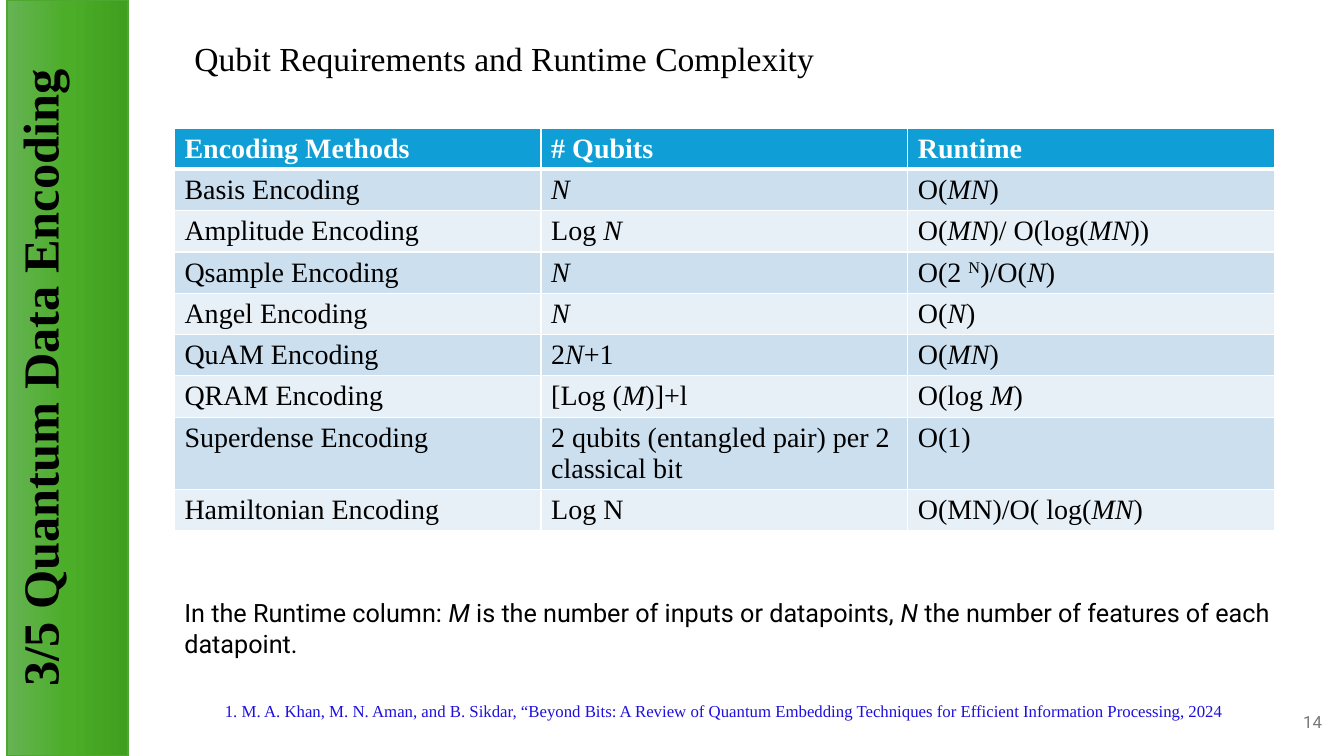
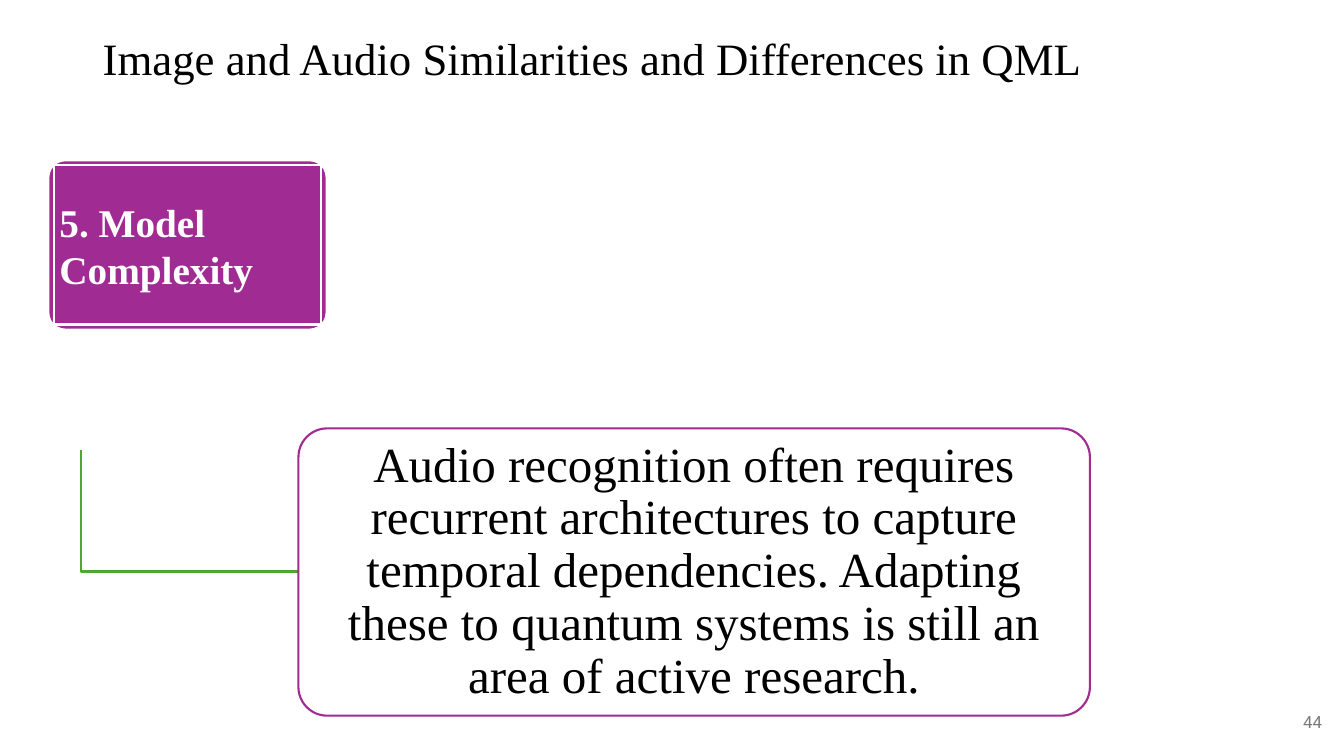
from copy import deepcopy

from pptx import Presentation
from pptx.dml.color import RGBColor
from pptx.enum.shapes import MSO_SHAPE as Shape
from pptx.enum.text import MSO_ANCHOR as Anchor, PP_ALIGN as Align
from pptx.oxml.ns import qn
from pptx.util import Inches, Pt
from lxml.etree import SubElement

COLORS = {
    "ink": "000000",
    "white": "FFFFFF",
    "number": "797979",
    "citation": "1E0FDD",
    "green": "4EA72E",
    "purple": "A02B93",
    "header": "0F9ED5",
    "odd_row": "CCDFEF",
    "even_row": "E7F0F7",
}
BAND_GRADIENT = ["66B354", "4BAD28", "409F1E"]
SERIF, SANS = "Times New Roman", "Roboto"

# Text between asterisks is italic; a leading ^ makes it superscript instead.
ENCODINGS = [
    ("Encoding Methods", "# Qubits", "Runtime"),
    ("Basis Encoding", "*N*", "O(*MN*)"),
    ("Amplitude Encoding", "Log *N*", "O(*MN*)/ O(log(*MN*))"),
    ("Qsample Encoding", "*N*", "O(2 *^N*)/O(*N*)"),
    ("Angel Encoding", "*N*", "O(*N*)"),
    ("QuAM Encoding", "2*N*+1", "O(*MN*)"),
    ("QRAM Encoding", "[Log (*M*)]+l", "O(log *M*)"),
    ("Superdense Encoding", "2 qubits (entangled pair) per 2 classical bit", "O(1)"),
    ("Hamiltonian Encoding", "Log N", "O(MN)/O( log(*MN*)"),
]


def rgb(name):
    return RGBColor.from_string(COLORS[name])


def write(frame, text, size, color="ink", font=SERIF, bold=False,
          align=Align.LEFT, anchor=Anchor.MIDDLE, spacing=None):
    """Fill a text frame with one paragraph, reading the italic marks."""
    frame.word_wrap = True
    frame.vertical_anchor = anchor
    paragraph = frame.paragraphs[0]
    paragraph.alignment = align
    paragraph.line_spacing = spacing
    for index, part in enumerate(text.split("*")):
        if not part:
            continue
        raised = part.startswith("^")
        run = paragraph.add_run()
        run.text = part.lstrip("^")
        run.font.name, run.font.size = font, Pt(size)
        run.font.bold = bold
        run.font.italic = index % 2 == 1 and not raised
        run.font.color.rgb = rgb(color)
        if raised:
            run.font._element.set("baseline", "30000")


def set_insets(frame, horizontal, vertical):
    frame.margin_left = frame.margin_right = Inches(horizontal)
    frame.margin_top = frame.margin_bottom = Inches(vertical)


def add_text(slide, box, text, size, **style):
    frame = slide.shapes.add_textbox(*map(Inches, box)).text_frame
    write(frame, text, size, **style)
    return frame


def add_title(slide, box, text, size):
    add_text(slide, box, text, size, spacing=0.9)


def add_slide_number(slide, number):
    add_text(slide, (11.86, 6.96, 1.35, 0.4), str(number), 12,
             color="number", font=SANS, align=Align.RIGHT)


def style_outline(shape, line, fill=None, width=1.5):
    shape.shadow.inherit = False
    shape.line.color.rgb = rgb(line)
    shape.line.width = Pt(width)
    if fill:
        shape.fill.solid()
        shape.fill.fore_color.rgb = rgb(fill)
    else:
        shape.fill.background()


def add_panel(slide, preset, box, line, fill):
    panel = slide.shapes.add_shape(preset, *map(Inches, box))
    style_outline(panel, line, fill)
    if preset == Shape.ROUNDED_RECTANGLE:
        panel.adjustments[0] = 0.1
    return panel


def add_section_band(slide, text):
    """Vertical gradient band along the left edge, read bottom to top."""
    band = add_panel(slide, Shape.RECTANGLE, (-3.08, 3.15, 7.5, 1.2), "green", "green")
    band.rotation = 270
    band.line.width = Pt(1)
    band.fill.gradient()
    band.fill.gradient_angle = 270
    first = band.fill.gradient_stops[0]._gs
    first.addnext(deepcopy(first))
    for index, (stop, color) in enumerate(zip(band.fill.gradient_stops, BAND_GRADIENT)):
        stop.color.rgb = RGBColor.from_string(color)
        stop.position = index / 2
    band.text_frame.margin_top = Inches(0.08)
    write(band.text_frame, text, 36, bold=True, align=Align.CENTER,
          anchor=Anchor.TOP, spacing=0.9)


def set_borders(cell, bottom_width):
    properties = cell._tc.get_or_add_tcPr()
    for side, width in zip("LRTB", (1, 1, 1, bottom_width)):
        line = SubElement(properties, qn(f"a:ln{side}"), w=str(Pt(width)))
        fill = SubElement(line, qn("a:solidFill"))
        SubElement(fill, qn("a:srgbClr"), val=COLORS["white"])


def add_encoding_table(slide, rows):
    row_height = 0.41
    table = slide.shapes.add_table(
        len(rows), len(rows[0]), Inches(1.73), Inches(1.27),
        Inches(10.91), Inches(row_height * len(rows))).table
    for r, row in enumerate(rows):
        table.rows[r].height = Inches(row_height)
        is_header = r == 0
        fill = "header" if is_header else "odd_row" if r % 2 else "even_row"
        for c, text in enumerate(row):
            cell = table.cell(r, c)
            set_borders(cell, 3 if is_header else 1)
            cell.fill.solid()
            cell.fill.fore_color.rgb = rgb(fill)
            write(cell.text_frame, text, 20, bold=is_header, anchor=Anchor.TOP,
                  color="white" if is_header else "ink")


def add_elbow(slide, points, color):
    (start_x, start_y), *rest = [(Inches(x), Inches(y)) for x, y in points]
    builder = slide.shapes.build_freeform(start_x, start_y)
    builder.add_line_segments(rest, close=False)
    style_outline(builder.convert_to_shape(), color)


def build_complexity_slide(slide):
    add_encoding_table(slide, ENCODINGS)
    add_slide_number(slide, 14)
    add_title(slide, (1.83, 0.16, 11.5, 0.89),
              "Qubit Requirements and Runtime Complexity", 24)
    citation = add_text(
        slide, (1.56, 6.94, 11.25, 0.4),
        "1. M. A. Khan, M. N. Aman, and B. Sikdar, “Beyond Bits: A Review of Quantum "
        "Embedding Techniques for Efficient Information Processing, 2024",
        12, color="citation", align=Align.CENTER, anchor=Anchor.TOP)
    set_insets(citation, 0.1, 0.01)
    add_text(slide, (1.73, 5.88, 11.35, 0.71),
             "In the Runtime column: *M* is the number of inputs or datapoints, "
             "*N* the number of features of each datapoint.",
             18, font=SANS, anchor=Anchor.TOP)
    add_section_band(slide, "3/5 Quantum Data Encoding")


def build_similarity_slide(slide):
    add_elbow(slide, [(0.8, 4.46), (0.8, 5.67), (2.96, 5.67)], "green")

    detail = add_panel(slide, Shape.ROUNDED_RECTANGLE, (2.96, 4.25, 7.85, 2.85),
                       "purple", "white")
    set_insets(detail.text_frame, 0.07, 0.05)
    write(detail.text_frame,
          "Audio recognition often requires recurrent architectures to capture temporal "
          "dependencies. Adapting these to quantum systems is still an area of active "
          "research.", 35, align=Align.CENTER, spacing=0.9)

    add_panel(slide, Shape.ROUNDED_RECTANGLE, (0.48, 1.59, 2.76, 1.68), "white", "purple")
    topic = add_panel(slide, Shape.RECTANGLE, (0.54, 1.64, 2.64, 1.58), "white", "purple")
    set_insets(topic.text_frame, 0.05, 0.03)
    write(topic.text_frame, "5. Model Complexity", 28, color="white", bold=True)

    add_title(slide, (0.92, 0.31, 11.5, 0.59),
              "Image and Audio Similarities and Differences in QML", 32)
    add_slide_number(slide, 44)


def main():
    deck = Presentation()
    deck.slide_width, deck.slide_height = Inches(13.33), Inches(7.5)
    blank = deck.slide_layouts[6]
    for build in (build_complexity_slide, build_similarity_slide):
        build(deck.slides.add_slide(blank))
    deck.save("out.pptx")


if __name__ == "__main__":
    main()
